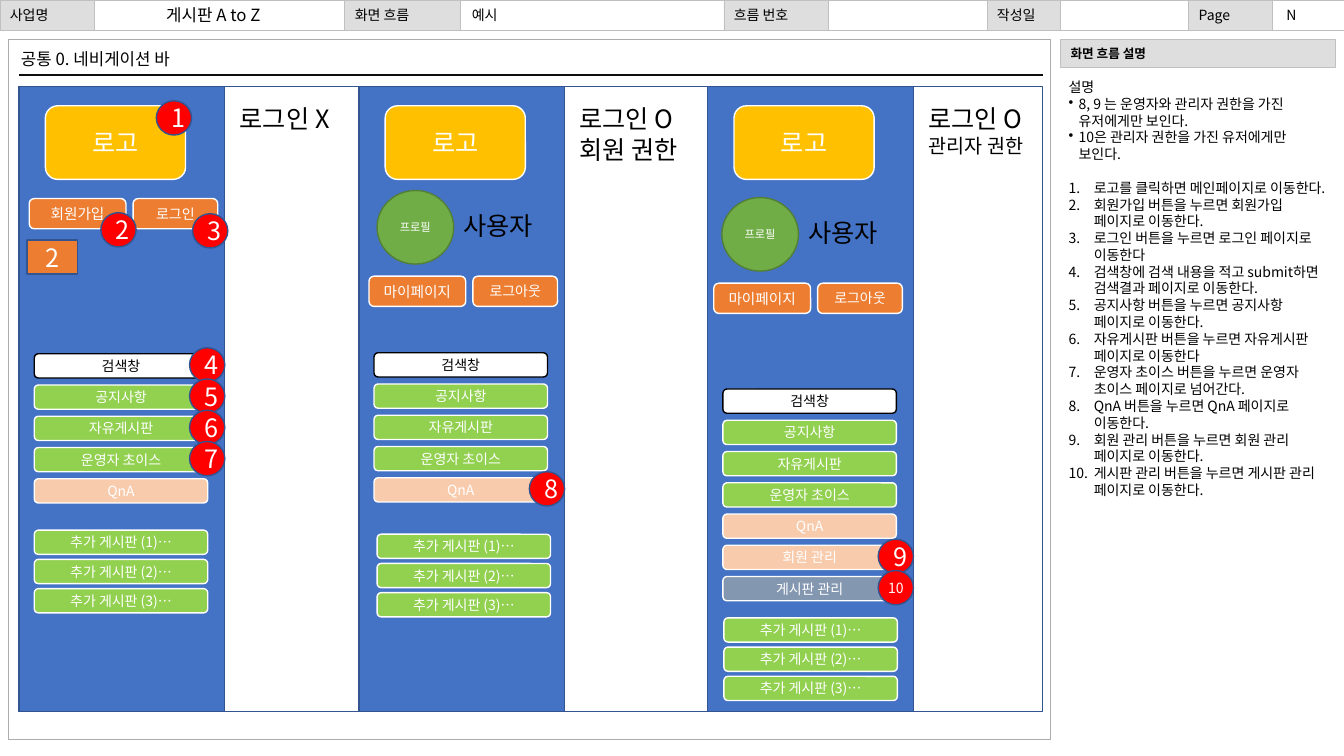
from dataclasses import dataclass

from lxml import etree
from pptx import Presentation
from pptx.dml.color import RGBColor
from pptx.enum.shapes import MSO_CONNECTOR as CONN, MSO_SHAPE as SHAPE
from pptx.enum.text import MSO_ANCHOR as ANCHOR, PP_ALIGN as ALIGN
from pptx.oxml.ns import qn
from pptx.util import Inches, Pt


@dataclass(frozen=True)
class Theme:
    font: str = "Noto Sans CJK KR"
    black: str = "000000"
    white: str = "FFFFFF"
    label: str = "DEDEDE"
    label_line: str = "C0C0C0"
    header_line: str = "BFBFBF"
    frame_line: str = "AFABAB"
    rule: str = "0D0D0D"
    blue: str = "4472C4"
    navy: str = "325491"
    gold: str = "FFC000"
    orange: str = "ED7D31"
    lime: str = "92D050"
    peach: str = "F8CBAD"
    slate: str = "8497B0"
    green: str = "70AD47"
    dark_green: str = "538035"
    red: str = "FF0000"
    tiny: float = 8
    small: float = 9
    body: float = 10
    button: float = 10.5
    heading: float = 12
    sub: float = 14
    big: float = 18
    leading: float = 1.2


T = Theme()


# Helpers
def add_text(p, text, size=T.body, color=T.black, bold=False, align=ALIGN.LEFT):
    p.alignment = align
    p.line_spacing = Pt(size * T.leading)
    p.space_before = Pt(0)
    r = p.add_run()
    r.text = text
    f = r.font
    f.name, f.size, f.bold = T.font, Pt(size), bold
    f.color.rgb = RGBColor.from_string(color)
    etree.SubElement(r._r.get_or_add_rPr(), qn("a:ea"), typeface=T.font)
    return p


def add_box(s, x, y, w, h, kind=SHAPE.RECTANGLE, fill=None, line=T.white, width=1,
            text=None, wrap=True, **fmt):
    sp = s.shapes.add_shape(kind, Inches(x), Inches(y), Inches(w), Inches(h))
    sp.shadow.inherit = False
    if fill:
        sp.fill.solid()
        sp.fill.fore_color.rgb = RGBColor.from_string(fill)
    else:
        sp.fill.background()
    sp.line.color.rgb = RGBColor.from_string(line)
    sp.line.width = Pt(width)
    if text:
        tf = sp.text_frame
        tf.word_wrap, tf.vertical_anchor = wrap, ANCHOR.MIDDLE
        add_text(tf.paragraphs[0], text, **fmt)
    return sp


def add_label(s, x, y, w, h, lines, wrap=False, anchor=ANCHOR.TOP):
    """Add a text box; lines holds (text, size) pairs."""
    tf = s.shapes.add_textbox(Inches(x), Inches(y), Inches(w), Inches(h)).text_frame
    tf.word_wrap, tf.vertical_anchor = wrap, anchor
    for i, (text, size) in enumerate(lines):
        add_text(tf.add_paragraph() if i else tf.paragraphs[0], text, size)
    return tf


def add_button(s, x, y, w, h, text, fill, line=T.white, size=T.body, color=T.white):
    add_box(s, x, y, w, h, SHAPE.ROUNDED_RECTANGLE, fill, line, text=text,
            size=size, color=color, align=ALIGN.CENTER)


def add_badge(s, x, y, number):
    single = number < 10
    add_box(s, x, y, 0.35, 0.34, SHAPE.OVAL, T.red, T.navy, text=str(number), wrap=single,
            size=T.big if single else T.body, color=T.white, align=ALIGN.CENTER)


def set_bullet(p, indent, tag, **attrs):
    pPr = p._p.get_or_add_pPr()
    pPr.set("marL", str(Inches(indent)))
    pPr.set("indent", str(-Inches(indent)))
    etree.SubElement(pPr, qn(tag), **attrs)


# Header strip across the top
def build_header(s, w, h):
    add_box(s, 0, 0, w, h, line=T.header_line, width=0.5)
    for x, label_w, text in [(0, 0.94, "사업명"), (3.42, 1.15, "화면 흐름"),
                             (7.18, 1.04, "흐름 번호"), (9.79, 0.73, "작성일"),
                             (11.79, 0.83, "Page")]:
        add_box(s, x, 0, label_w, h, fill=T.label, line=T.label_line, width=0.5, text=text)
    add_label(s, 1.55, 0, 1.25, h, [("게시판 A to Z", T.heading)], anchor=ANCHOR.MIDDLE)
    add_label(s, 12.66, 0, 0.62, h, [("N", T.body)], wrap=True, anchor=ANCHOR.MIDDLE)
    title = s.shapes.title
    title.left, title.top = Inches(4.58), Inches(0)
    title.width, title.height = Inches(2.6), Inches(h)
    title.text_frame.vertical_anchor = ANCHOR.MIDDLE
    add_text(title.text_frame.paragraphs[0], "예시")


# Explanation column on the right
def build_description(s, x, y, w, notes, steps):
    add_box(s, x, y, w, 0.28, fill=T.label, line=T.label_line, width=0.75,
            text="화면 흐름 설명", size=T.small, bold=True)
    lines = [(text, T.body) for text in ["설명", *notes, *steps]]
    tf = add_label(s, x - 0.02, y + 0.34, w, 4.81, lines, wrap=True)
    note_ps = tf.paragraphs[1:len(notes) + 1]
    step_ps = tf.paragraphs[len(notes) + 1:]
    for p in note_ps:
        set_bullet(p, 0.1, "a:buChar", char="•")
    for p in step_ps:
        set_bullet(p, 0.25, "a:buAutoNum", type="arabicPeriod")
    step_ps[0].space_before = Pt(T.body * T.leading)


# One navigation bar with its caption
def build_nav(s, x, y, caption, account, menu_y, menu, extra_x, extra_y):
    add_box(s, x, y, 2.04, 6.2, fill=T.blue, line=T.navy)
    add_button(s, x + 0.26, y + 0.19, 1.39, 0.73, "로고", T.gold, size=T.big)
    account_x, account_y, names, has_profile = account
    left, top = x + account_x, y + account_y
    if has_profile:
        add_label(s, left + 0.84, top - 0.7, 0.96, 0.4, [("사용자", T.big)])
        add_box(s, left + 0.08, top - 0.85, 0.76, 0.73, SHAPE.OVAL, T.green, T.dark_green,
                text="프로필", size=T.tiny, color=T.white, align=ALIGN.CENTER)
    add_button(s, left, top, 0.96, 0.3, names[0], T.orange, size=T.button)
    add_button(s, left + 1.03, top, 0.84, 0.3, names[1], T.orange)
    for i, (text, fill, badge) in enumerate(menu):
        row = y + menu_y + 0.31 * i
        search = fill == T.white
        add_button(s, x + 0.15, row, 1.72, 0.24, text, fill,
                   line=T.black if search else T.white, color=T.black if search else T.white)
        if badge:
            add_badge(s, x + 1.69, row - 0.06, badge)
    for i in range(3):
        add_button(s, x + extra_x, y + extra_y + 0.29 * i, 1.72, 0.24,
                   f"추가 게시판 ({i + 1})…", T.lime)
    add_label(s, x + 2.09, y + 0.12, 1.25, 0.4 * len(caption), caption)


# Framed board with the three navigation states
def build_board(s, x, y, w, h):
    add_box(s, x, y, w, h, line=T.frame_line, width=0.75)
    add_label(s, x + 0.03, y + 0.04, 3.38, 0.3, [("공통 0. 네비게이션 바", T.heading)], wrap=True)
    left, top, right = x + 0.11, y + 0.47, x + w - 0.08
    rule = s.shapes.add_connector(CONN.STRAIGHT, Inches(left), Inches(y + 0.35),
                                  Inches(right), Inches(y + 0.35))
    rule.line.color.rgb = RGBColor.from_string(T.rule)
    rule.line.width = Pt(1.5)
    etree.SubElement(rule._element.spPr, qn("a:effectLst"))
    add_box(s, left, top, right - left, 6.2, fill=T.white, line=T.navy)

    def menu(badges, *more):
        rows = [("검색창", T.white), ("공지사항", T.lime), ("자유게시판", T.lime),
                ("운영자 초이스", T.lime), ("QnA", T.peach), *more]
        first = 4
        return [(text, fill, first + i if first + i in badges else None)
                for i, (text, fill) in enumerate(rows)]

    member = ("마이페이지", "로그아웃")
    build_nav(s, left, top, [("로그인 X", T.big)], (0.1, 1.11, ("회원가입", "로그인"), False),
              2.65, menu({4, 5, 6, 7}), 0.15, 4.4)
    add_box(s, left + 0.08, top + 1.52, 0.5, 0.34, fill=T.orange, line=T.navy, text="2",
            size=T.big, color=T.white, align=ALIGN.CENTER)
    for number, dx, dy in [(1, 1.36, 0.14), (2, 0.81, 1.25), (3, 1.72, 1.26)]:
        add_badge(s, left + dx, top + dy, number)
    build_nav(s, left + 3.37, top, [("로그인 O", T.big), ("회원 권한", T.big)],
              (0.1, 1.88, member, True), 2.64, menu({8}), 0.18, 4.44)
    build_nav(s, left + 6.83, top, [("로그인 O", T.big), ("관리자 권한", T.sub)],
              (0.06, 1.95, member, True), 3,
              menu({9, 10}, ("회원 관리", T.peach), ("게시판 관리", T.slate)), 0.16, 5.27)


def main():
    prs = Presentation()
    prs.slide_width, prs.slide_height = Inches(13.33), Inches(7.5)
    s = prs.slides.add_slide(prs.slide_layouts[5])
    build_header(s, 13.33, 0.3)
    build_board(s, 0.08, 0.39, 10.34, 6.95)
    build_description(
        s, 10.52, 0.39, 2.73,
        ["8, 9 는 운영자와 관리자 권한을 가진 유저에게만 보인다.",
         "10은 관리자 권한을 가진 유저에게만 보인다."],
        ["로고를 클릭하면 메인페이지로 이동한다.",
         "회원가입 버튼을 누르면 회원가입 페이지로 이동한다.",
         "로그인 버튼을 누르면 로그인 페이지로 이동한다",
         "검색창에 검색 내용을 적고 submit하면 검색결과 페이지로 이동한다.",
         "공지사항 버튼을 누르면 공지사항 페이지로 이동한다.",
         "자유게시판 버튼을 누르면 자유게시판 페이지로 이동한다",
         "운영자 초이스 버튼을 누르면 운영자 초이스 페이지로 넘어간다.",
         "QnA 버튼을 누르면 QnA 페이지로 이동한다.",
         "회원 관리 버튼을 누르면 회원 관리 페이지로 이동한다.",
         "게시판 관리 버튼을 누르면 게시판 관리 페이지로 이동한다."])
    prs.save("out.pptx")


if __name__ == "__main__":
    main()
